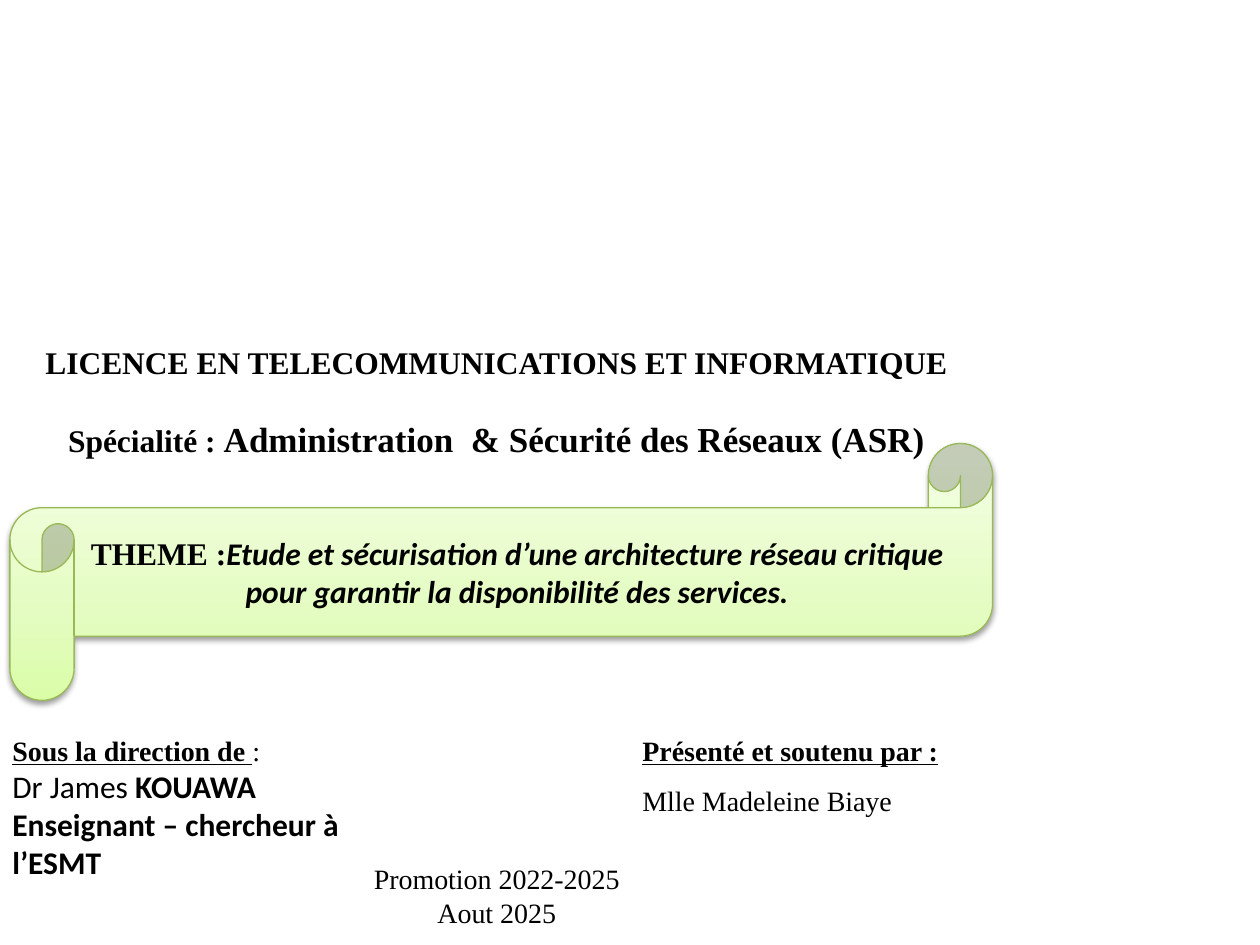
from lxml import etree
from pptx import Presentation
from pptx.dml.color import RGBColor
from pptx.enum.shapes import MSO_SHAPE
from pptx.enum.text import MSO_ANCHOR, MSO_AUTO_SIZE, PP_ALIGN
from pptx.oxml.ns import qn
from pptx.util import Cm, Pt

LEFT, MID = PP_ALIGN.LEFT, PP_ALIGN.CENTER
TOP, CORE = MSO_ANCHOR.TOP, MSO_ANCHOR.MIDDLE
SCROLL = MSO_SHAPE.HORIZONTAL_SCROLL
FIXED = MSO_AUTO_SIZE.NONE

THEME = {
    "serif": "Times New Roman", "sans": "Calibri",
    "ink": "000000", "paper": "FFFFFF", "edge": "98B955",
    "fade": [(0, "DAFDA7"), (35, "E4FCC2"), (100, "F5FFE7")],
    "big": 20, "head": 18, "text": 16,
}

# Content: each paragraph is a list of (text, font, size, style) runs;
# style letters: b bold, i italic, u underline
TITLE = [
    [("LICENCE EN TELECOMMUNICATIONS ET INFORMATIQUE", "serif", "head", "b")],
    [("Spécialité : ", "serif", "head", "b"),
     ("Administration  & Sécurité des Réseaux (ASR)", "serif", "big", "b")],
]
TOPIC = [
    [("THEME :", "serif", "head", "b"),
     ("Etude et sécurisation d’une architecture réseau critique "
      "pour garantir la disponibilité des services.", "sans", "head", "bi")],
]
GUIDE = [
    [("Sous la direction de ", "serif", "text", "bu"),
     (":", "serif", "text", "")],
    [("Dr James ", "sans", "head", ""), ("KOUAWA", "sans", "head", "b")],
    [("Enseignant – chercheur à l’ESMT", "sans", "head", "b")],
]
AUTHOR = [
    [("Présenté et soutenu par :", "serif", "text", "bu")],
    [("Mlle Madeleine Biaye", "serif", "text", "")],
]
CLASS = [
    [("Promotion 2022-2025", "serif", "text", "")],
    [("Aout 2025", "serif", "text", "")],
]

# Places in cm: left, top, width, height
ROW = 14.66
TITLE_AT = (0, 6.78, 20.02, 3.25)
TOPIC_AT = (0.2, 8.94, 19.81, 5.18)
NOTES = [
    (GUIDE, (0, ROW, 8.74, 3.94), LEFT),
    (AUTHOR, (12.7, ROW, 12.7, 2.64), LEFT),
    (CLASS, (6.22, 17.25, 7.59, 1.63), MID),
]


def color(name):
    return RGBColor.from_string(THEME[name])


def write(shape, paras, align, anchor=TOP):
    frame = shape.text_frame
    frame.word_wrap = True
    frame.auto_size = FIXED
    frame.vertical_anchor = anchor
    for i, runs in enumerate(paras):
        para = frame.add_paragraph() if i else frame.paragraphs[0]
        para.alignment = align
        for text, face, size, style in runs:
            run = para.add_run()
            run.text = text
            font = run.font
            font.name, font.size = THEME[face], Pt(THEME[size])
            font.color.rgb = color("ink")
            font.bold, font.italic = "b" in style, "i" in style
            font.underline = "u" in style
    return frame.paragraphs


def node(parent, tag, **attrs):
    item = etree.SubElement(parent, qn(tag))
    for key, val in attrs.items():
        item.set(key, str(val))
    return item


def shade(shape):
    """Three-stop fade rising from the base, and a soft shadow below."""
    shape.fill.gradient()
    props = shape.fill._xPr
    fade = props.find(qn("a:gradFill"))
    for child in list(fade):
        fade.remove(child)
    stops = node(fade, "a:gsLst")
    for pos, tint in THEME["fade"]:
        node(node(stops, "a:gs", pos=pos * 1000), "a:srgbClr", val=tint)
    node(fade, "a:lin", ang=270 * 60000, scaled=0)
    shape.shadow.inherit = False
    cast = node(props.find(qn("a:effectLst")), "a:outerShdw",
                blurRad=Pt(3.1), dist=Pt(1.6), dir=90 * 60000, rotWithShape=0)
    node(node(cast, "a:srgbClr", val=THEME["ink"]), "a:alpha", val=38000)


def main():
    deck = Presentation()
    deck.slide_width, deck.slide_height = Cm(25.4), Cm(19.05)
    slide = deck.slides.add_slide(deck.slide_layouts[5])

    # Degree and speciality
    title = slide.shapes.title
    title.left, title.top, title.width, title.height = map(Cm, TITLE_AT)
    title.fill.solid()
    title.fill.fore_color.rgb = color("paper")
    lines = write(title, TITLE, MID)
    lines[1].space_before = Pt(21)

    # Topic on a scroll
    scroll = slide.shapes.add_shape(SCROLL, *map(Cm, TOPIC_AT))
    scroll.adjustments[0] = 0.25
    scroll.line.color.rgb = color("edge")
    scroll.line.width = Pt(0.75)
    shade(scroll)
    write(scroll, TOPIC, MID, CORE)

    # Supervisor, author and class
    for paras, place, align in NOTES:
        box = slide.shapes.add_textbox(*map(Cm, place))
        lines = write(box, paras, align)
        if paras is AUTHOR:
            lines[1].line_spacing = 1.5

    deck.save("out.pptx")


if __name__ == "__main__":
    main()
